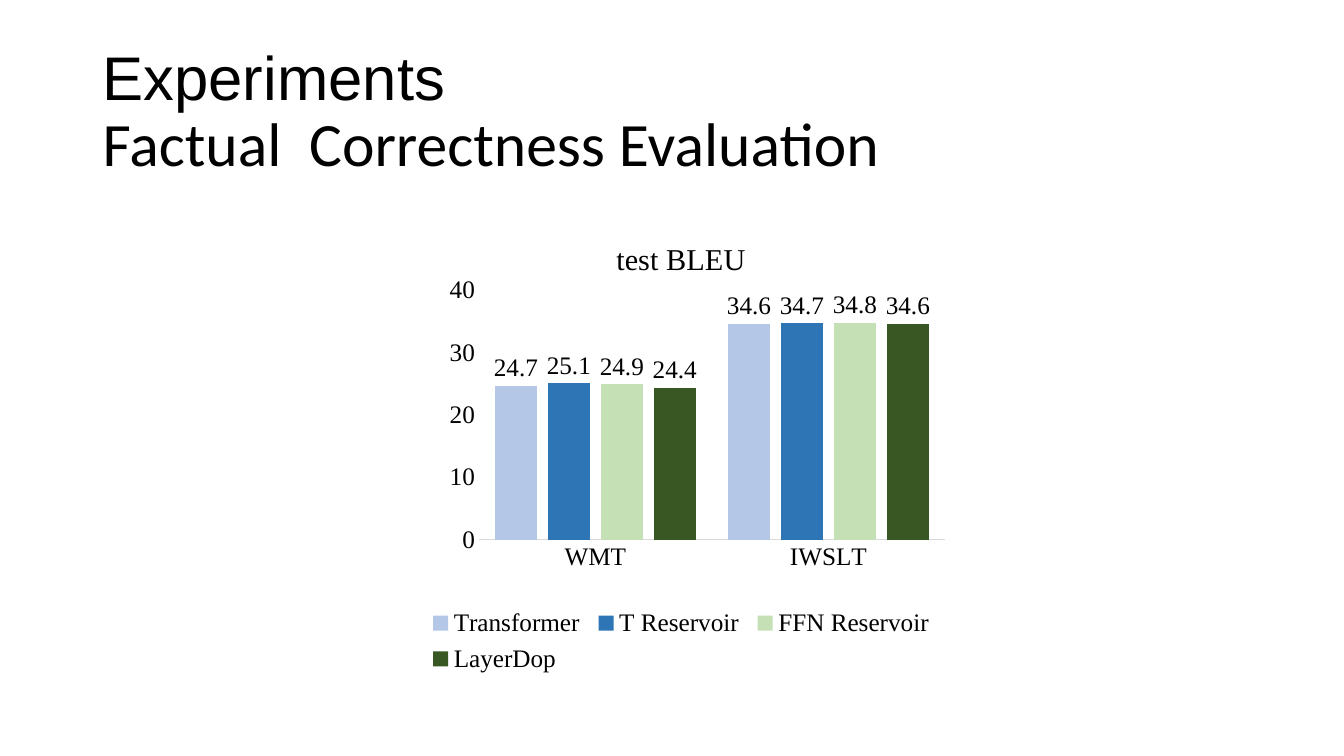
"""Build the slide with the BLEU comparison chart."""
from pptx import Presentation
from pptx.chart.data import CategoryChartData
from pptx.dml.color import RGBColor
from pptx.enum.chart import XL_CHART_TYPE, XL_LABEL_POSITION, XL_LEGEND_POSITION, XL_TICK_MARK
from pptx.enum.text import MSO_ANCHOR
from pptx.oxml import parse_xml
from pptx.oxml.ns import nsdecls
from pptx.util import Inches, Pt

SERIES = [
    ("Transformer", (24.7, 34.6), "B4C7E7"),
    ("T Reservoir", (25.1, 34.7), "2E75B6"),
    ("FFN Reservoir", (24.9, 34.8), "C5E0B4"),
    ("LayerDop", (24.4, 34.6), "385723"),
]


def style_font(font, name, size, color="000000"):
    font.name = name
    font.size = Pt(size)
    font.bold = False
    font.color.rgb = RGBColor.from_string(color)


def set_layout(element, index, target, shares):
    for layout in element.xpath("./c:layout"):
        element.remove(layout)
    sides = "".join(f'<c:{side} val="{share}"/>' for side, share in zip("xywh", shares))
    element.insert(index, parse_xml(
        f'<c:layout {nsdecls("c")}><c:manualLayout>{target}'
        f'<c:xMode val="edge"/><c:yMode val="edge"/>{sides}</c:manualLayout></c:layout>'))


presentation = Presentation()
presentation.slide_width = Inches(13.33)
presentation.slide_height = Inches(7.5)
slide = presentation.slides.add_slide(presentation.slide_layouts[6])

heading = slide.shapes.add_textbox(Inches(0.92), Inches(0.4), Inches(11.5), Inches(1.45))
text_frame = heading.text_frame
text_frame.word_wrap = True
text_frame.vertical_anchor = MSO_ANCHOR.MIDDLE
text_frame.text = "Experiments\vFactual  Correctness Evaluation"
paragraph = text_frame.paragraphs[0]
paragraph.line_spacing = 0.9
for run, font_name in zip(paragraph.runs, ("Arial", "Calibri")):
    style_font(run.font, font_name, 44)

chart_data = CategoryChartData()
chart_data.categories = ["WMT", "IWSLT"]
for name, scores, color in SERIES:
    chart_data.add_series(name, scores)
chart = slide.shapes.add_chart(
    XL_CHART_TYPE.COLUMN_CLUSTERED,
    Inches(3.97), Inches(2.18), Inches(5.57), Inches(4.67), chart_data).chart
style_font(chart.font, "Times New Roman", 18)

chart.has_title = True
chart.chart_title.include_in_layout = True
chart.chart_title.text_frame.text = "test BLEU"
style_font(chart.chart_title.text_frame.paragraphs[0].runs[0].font, "Times New Roman", 21.6)

chart.has_legend = True
chart.legend.position = XL_LEGEND_POSITION.BOTTOM
chart.legend.include_in_layout = False
style_font(chart.legend.font, "Times New Roman", 18)

for axis in (chart.category_axis, chart.value_axis):
    axis.major_tick_mark = XL_TICK_MARK.NONE
    axis.minor_tick_mark = XL_TICK_MARK.NONE
    axis.has_major_gridlines = False
    style_font(axis.tick_labels.font, "Times New Roman", 18)
chart.category_axis.format.line.color.rgb = RGBColor.from_string("D9D9D9")
chart.category_axis.format.line.width = Pt(0.75)
chart.value_axis.format.line.fill.background()
chart.value_axis.minimum_scale = 0
chart.value_axis.maximum_scale = 40
chart.value_axis.major_unit = 10

plot = chart.plots[0]
plot.gap_width = 75
plot.overlap = -25
plot.vary_by_categories = False
for series, (name, scores, color) in zip(plot.series, SERIES):
    series.format.fill.solid()
    series.format.fill.fore_color.rgb = RGBColor.from_string(color)
    labels = series.data_labels
    labels.show_value = True
    labels.position = XL_LABEL_POSITION.OUTSIDE_END
    style_font(labels.font, "Times New Roman", 18)

plot_area = chart.element.xpath(".//c:plotArea")[0]
legend = chart.element.xpath(".//c:legend")[0]
set_layout(plot_area, 0, '<c:layoutTarget val="inner"/>', (0.14, 0.15, 0.83, 0.53))
set_layout(legend, 1, "", (0.04, 0.81, 0.92, 0.17))

presentation.save("out.pptx")
